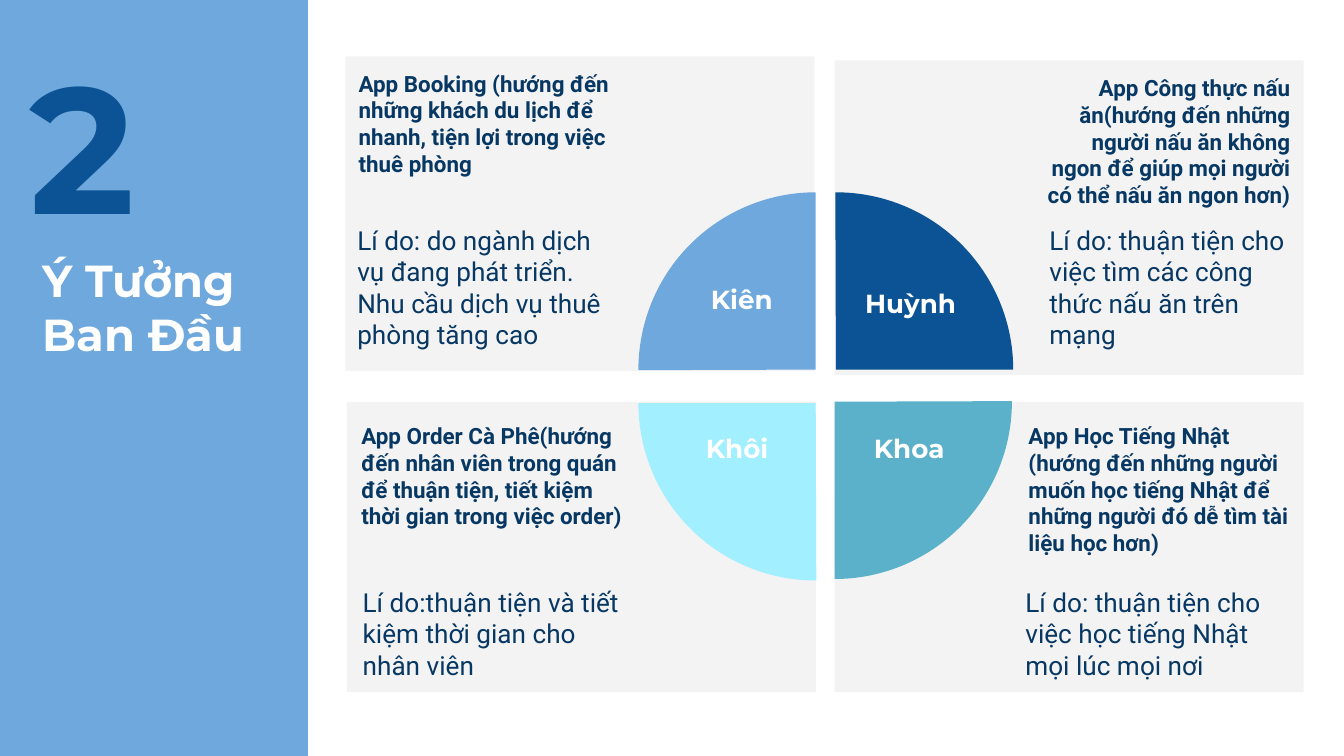
from pptx import Presentation
from pptx.dml.color import RGBColor
from pptx.enum.shapes import MSO_SHAPE
from pptx.enum.text import MSO_ANCHOR, PP_ALIGN
from pptx.util import Pt

RECT, PIE = MSO_SHAPE.RECTANGLE, MSO_SHAPE.PIE
LEFT, CENTER, RIGHT = PP_ALIGN.LEFT, PP_ALIGN.CENTER, PP_ALIGN.RIGHT
TOP = MSO_ANCHOR.TOP

COLORS = {
    "sky": "6FA8DC",
    "blue": "0B5394",
    "teal": "5AB1C9",
    "aqua": "A1EFFF",
    "navy": "073763",
    "card": "F3F3F3",
    "white": "FFFFFF",
}
STYLES = {
    "number": {"size": 96, "name": "Montserrat", "bold": True, "color": "blue"},
    "title": {"size": 24, "name": "Montserrat", "bold": True, "color": "white"},
    "member": {"size": 14, "name": "Montserrat", "bold": True, "color": "white"},
    "idea": {"size": 12, "name": "Roboto", "bold": True, "color": "navy"},
    "reason": {"size": 14, "name": "Roboto", "bold": False, "color": "navy"},
}
CARD_WIDTH = 251.3
PIE_SIZE = 190
QUARTER = (107.889, 162)  # top left quarter: about 180 to 270 degrees
EVEN = (7.2, 7.2, 7.2, 7.2)
SLIM = (7.2, 3.6, 7.2, 3.6)

# left, top, height
CARDS = [
    (185, 30.2, 168.5),
    (447.1, 32.4, 168.5),
    (185.8, 215.3, 155.5),
    (447.1, 215.3, 155.5),
]
# left, top, colour; each one turns a further 90 degrees
PIES = [
    (342, 103, "sky"),
    (352.8, 103, "blue"),
    (352.1, 120.2, "teal"),
    (342, 121, "aqua"),
]
MEMBERS = [
    ("Kiên", (364.3, 148.3, 66.2, 35.3)),
    ("Huỳnh", (453.6, 150.5, 68.4, 38.9)),
    ("Khôi", (360, 228.2, 69.8, 35.3)),
    ("Khoa", (453.6, 228.2, 67, 33.8)),
]
# The two upper ideas sit inside their cards: text, insets, alignment
CARD_IDEAS = [
    ("App Booking (hướng đến những khách du lịch để nhanh, tiện lợi trong việc thuê phòng",
     (7.2, 7.2, 108, 7.2), LEFT),
    ("App Công thực nấu ăn(hướng đến những người nấu ăn không ngon để giúp mọi người "
     "có thể nấu ăn ngon hơn)", (108, 7.2, 7.2, 7.2), RIGHT),
]
NOTES = [
    ("idea", "App Order Cà Phê(hướng đến nhân viên trong quán để thuận tiện, tiết kiệm "
     "thời gian trong việc order)", (186.5, 222.5, 155.5, 82)),
    ("idea", "App Học Tiếng Nhật (hướng đến những người muốn học tiếng Nhật để những "
     "người đó dễ tìm tài liệu học hơn)", (543.9, 222.5, 161.3, 97)),
    ("reason", "Lí do: do ngành dịch vụ đang phát triển. Nhu cầu dịch vụ thuê phòng tăng cao",
     (184.3, 116.6, 154.8, 92)),
    ("reason", "Lí do: thuận tiện cho việc tìm các công thức nấu ăn trên mạng",
     (555.1, 116.6, 154.8, 92)),
    ("reason", "Lí do:thuận tiện và tiết kiệm thời gian cho nhân viên",
     (187.2, 310.6, 154.8, 75)),
    ("reason", "Lí do: thuận tiện cho việc học tiếng Nhật mọi lúc mọi nơi",
     (542.2, 310.6, 154.8, 58)),
]


def rgb(color):
    return RGBColor.from_string(COLORS[color])


def add_block(slide, kind, box, color):
    block = slide.shapes.add_shape(kind, *map(Pt, box))
    block.shadow.inherit = False
    block.fill.solid()
    block.fill.fore_color.rgb = rgb(color)
    block.line.fill.background()
    return block


def add_quarter(slide, left, top, color, rotation):
    quarter = add_block(slide, PIE, (left, top, PIE_SIZE, PIE_SIZE), color)
    for index, angle in enumerate(QUARTER):
        quarter.adjustments[index] = angle
    quarter.rotation = rotation


def write(shape, text, style, align=LEFT, insets=SLIM):
    frame = shape.text_frame
    frame.word_wrap = True
    frame.vertical_anchor = TOP
    for side, inset in zip(("left", "top", "right", "bottom"), insets):
        setattr(frame, f"margin_{side}", Pt(inset))
    paragraph = frame.paragraphs[0]
    paragraph.alignment = align
    run = paragraph.add_run()
    run.text = text
    look = STYLES[style]
    for name, value in look.items():
        if name == "size":
            run.font.size = Pt(value)
        elif name == "color":
            run.font.color.rgb = rgb(value)
        else:
            setattr(run.font, name, value)


def add_text(slide, text, box, style, align=LEFT, insets=SLIM):
    write(slide.shapes.add_textbox(*map(Pt, box)), text, style, align, insets)


def main():
    prs = Presentation()
    prs.slide_width, prs.slide_height = Pt(720), Pt(405)
    slide = prs.slides.add_slide(prs.slide_layouts[6])
    slide.background.fill.solid()
    slide.background.fill.fore_color.rgb = rgb("sky")

    add_block(slide, RECT, (165, 0, 555, 405), "white")
    add_text(slide, "Ý Tưởng Ban Đầu", (15.8, 128.2, 134.6, 74.2), "title", insets=EVEN)
    add_text(slide, "2", (8.6, 11.5, 142.6, 98.6), "number", insets=EVEN)

    cards = [add_block(slide, RECT, (left, top, CARD_WIDTH, height), "card")
             for left, top, height in CARDS]
    for card, (idea, insets, align) in zip(cards, CARD_IDEAS):
        write(card, idea, "idea", align, insets)

    for turn, (left, top, color) in enumerate(PIES):
        add_quarter(slide, left, top, color, 90 * turn)
    for member, box in MEMBERS:
        add_text(slide, member, box, "member", CENTER)
    for style, text, box in NOTES:
        add_text(slide, text, box, style)

    prs.save("out.pptx")


if __name__ == "__main__":
    main()
